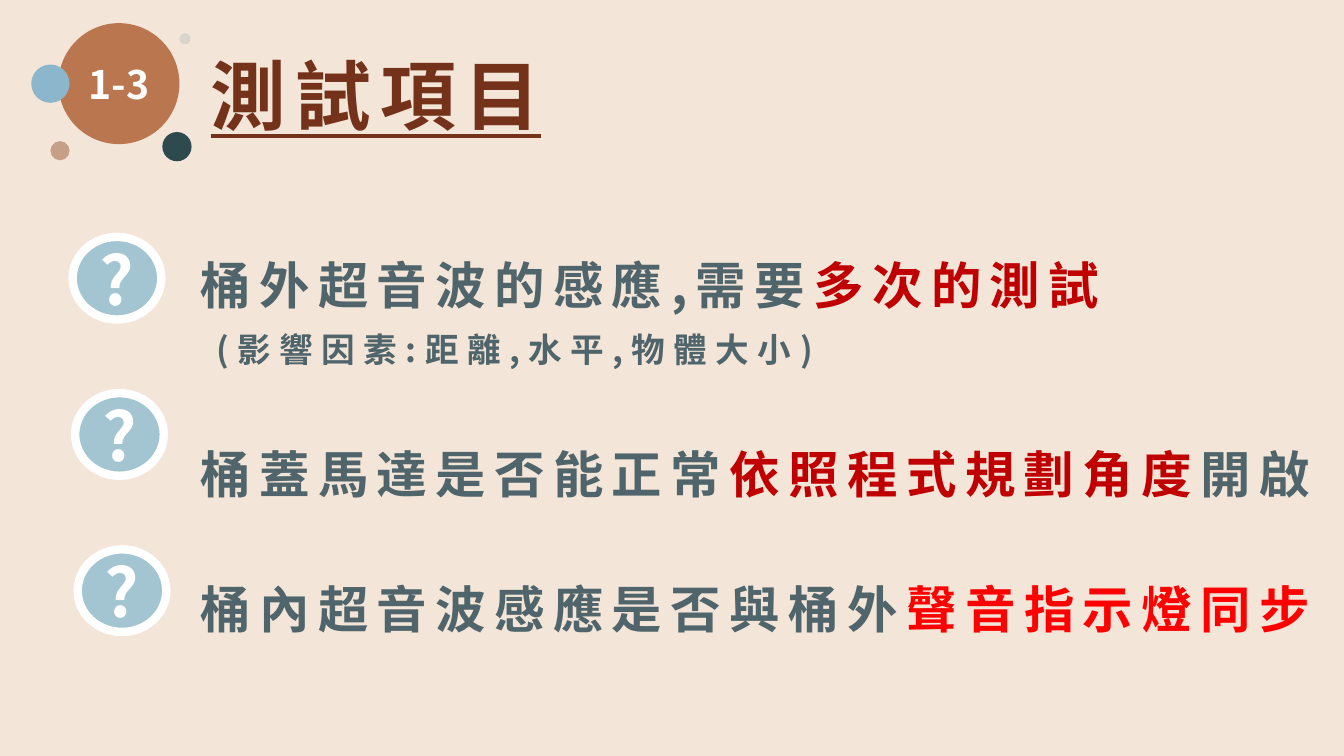
from lxml import etree
from pptx import Presentation
from pptx.dml.color import RGBColor
from pptx.enum.shapes import MSO_SHAPE
from pptx.enum.text import MSO_ANCHOR, PP_ALIGN
from pptx.oxml.ns import qn
from pptx.util import Inches, Pt

OVAL = MSO_SHAPE.OVAL
MIDDLE = MSO_ANCHOR.MIDDLE
CENTER = PP_ALIGN.CENTER
FONT = "Noto Sans CJK SC"
CREAM = RGBColor(0xF3, 0xE5, 0xD8)
WHITE = RGBColor(0xFF, 0xFF, 0xFF)
COPPER = RGBColor(0xBA, 0x76, 0x4F)
BLUE = RGBColor(0x8B, 0xB6, 0xCB)
TAN = RGBColor(0xC5, 0xA0, 0x86)
TEAL = RGBColor(0x2E, 0x4A, 0x4E)
GREY = RGBColor(0xD9, 0xD5, 0xCA)
BROWN = RGBColor(0x75, 0x32, 0x1A)
SLATE = RGBColor(0x50, 0x65, 0x6B)
DARK_RED = RGBColor(0xC0, 0x00, 0x00)
RED = RGBColor(0xFF, 0x00, 0x00)
PALE_BLUE = RGBColor(0xA2, 0xC5, 0xD1)


def add_span(para, text, size, color, spacing=0):
    span = para.add_run()
    span.text = text
    span.font.size = Pt(size)
    span.font.bold = True
    span.font.name = FONT
    span.font.color.rgb = color
    properties = span.font._element
    etree.SubElement(properties, qn("a:ea")).set("typeface", FONT)
    if spacing:
        properties.set("spc", str(round(spacing * 100)))
    return span


def add_oval(left, top, width, height, fill, label="", size=0):
    oval = page.shapes.add_shape(OVAL, Inches(left), Inches(top), Inches(width), Inches(height))
    oval.shadow.inherit = False
    oval.fill.solid()
    oval.fill.fore_color.rgb = fill
    oval.line.fill.background()
    if label:
        frame = oval.text_frame
        frame.margin_left = frame.margin_right = 0
        frame.vertical_anchor = MIDDLE
        frame.paragraphs[0].alignment = CENTER
        add_span(frame.paragraphs[0], label, size, WHITE)
    return oval


deck = Presentation()
deck.slide_width = Inches(13.33)
deck.slide_height = Inches(7.5)
page = deck.slides.add_slide(deck.slide_layouts[6])
page.background.fill.solid()
page.background.fill.fore_color.rgb = CREAM

add_oval(0.58, 0.23, 1.2, 1.2, COPPER, "1-3", 28)
for left, top, diameter, color in [
    (0.31, 0.64, 0.38, BLUE),
    (0.5, 1.4, 0.19, TAN),
    (1.61, 1.31, 0.29, TEAL),
    (1.78, 0.33, 0.11, GREY),
]:
    add_oval(left, top, diameter, diameter, color)

title = page.shapes.add_textbox(Inches(1.99), Inches(0.44), Inches(3.59), Inches(1.01))
title.text_frame.word_wrap = True
add_span(title.text_frame.paragraphs[0], "測試項目", 54, BROWN, 6.6).font.underline = True

test_items = [
    (36, 1, [("桶外超音波的感應,需要", SLATE), ("多次的測試", DARK_RED)]),
    (24, 1, [("(影響因素:距離,水平,物體大小)", SLATE)]),
    (36, 2, [("桶蓋馬達是否能正常", SLATE), ("依照程式規劃角度", DARK_RED), ("開啟", SLATE)]),
    (36, 2, [("桶內超音波感應是否與桶外", SLATE), ("聲音指示燈同步", RED)]),
]
body = page.shapes.add_textbox(Inches(1.89), Inches(2.47), Inches(12.65), Inches(3.92))
body.text_frame.word_wrap = True
for index, (size, line_spacing, spans) in enumerate(test_items):
    para = body.text_frame.paragraphs[0] if index == 0 else body.text_frame.add_paragraph()
    para.line_spacing = float(line_spacing)
    para.space_before = Pt(10 if index else 0)
    if size == 24:
        para._p.get_or_add_pPr().set("marL", str(Inches(0.16)))
    for text, color in spans:
        add_span(para, text, size, color, 6)

for row in range(3):
    marker = add_oval(0.72 + 0.025 * row, 2.35 + 1.55 * row, 0.88, 0.82, PALE_BLUE, "?", 48)
    marker.line.color.rgb = WHITE
    marker.line.width = Pt(6)

deck.save("out.pptx")
